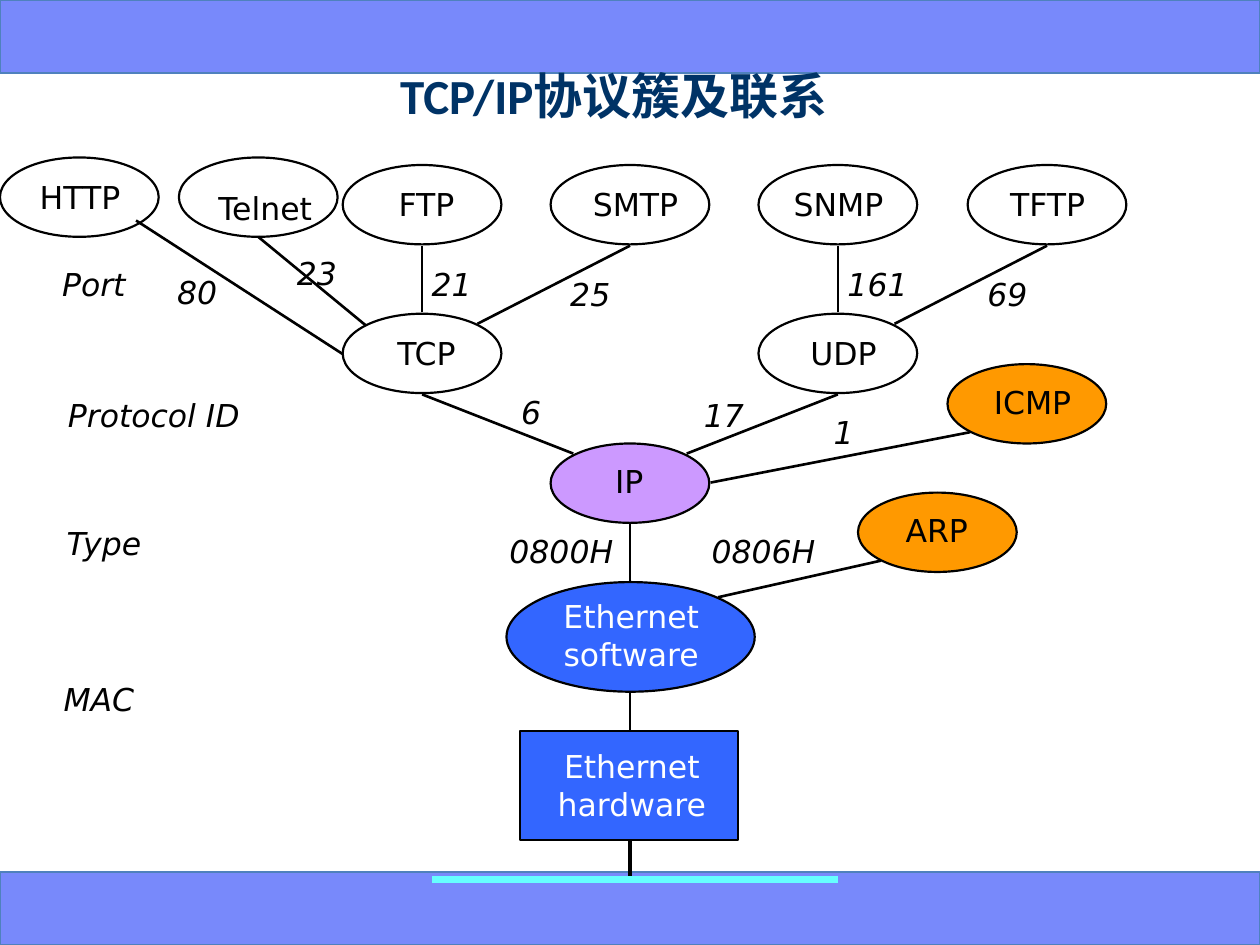
import pptx
import pptx.util
import pptx.dml.color
import pptx.enum.shapes
import pptx.enum.text
import lxml.etree
from pptx.util import Inches

COLORS = {
    "band": "7889FB", "band_edge": "4F81BD", "title": "003366",
    "black": "000000", "white": "FFFFFF", "ethernet": "3366FF",
    "helper": "FF9900", "ip": "CC99FF", "cable": "66FFFF",
}
SHAPES = pptx.enum.shapes.MSO_SHAPE


def color(name):
    return pptx.dml.color.RGBColor.from_string(COLORS[name])


def add_text(text, left, top, width, height=0.3, ink="black", italic=False):
    """Add a centred text box without margins and return it."""
    box = slide.shapes.add_textbox(*map(Inches, (left, top, width, height)))
    frame = box.text_frame
    frame.word_wrap = True
    frame.margin_left = frame.margin_right = 0
    frame.margin_top = frame.margin_bottom = 0
    paragraph = frame.paragraphs[0]
    paragraph.text = text
    paragraph.alignment = pptx.enum.text.PP_ALIGN.CENTER
    paragraph.font.name = "DejaVu Sans"
    paragraph.font.size = pptx.util.Pt(18)
    paragraph.font.italic = italic
    paragraph.font.color.rgb = color(ink)
    return box


deck = pptx.Presentation()
deck.slide_width, deck.slide_height = Inches(10), Inches(7.5)
slide = deck.slides.add_slide(deck.slide_layouts[6])

# Bands and protocol nodes: preset, left, top, width, height, fill, line, weight
OVAL_SIZE = (1.26, 0.63)
ovals = [
    (6.81, 3.91, "helper"), (4.37, 3.52, "ip"), (7.52, 2.89, "helper"),
    (6.02, 2.49, None), (2.72, 2.49, None),
    (7.68, 1.31, None), (6.02, 1.31, None), (4.37, 1.31, None),
    (2.72, 1.31, None), (1.42, 1.25, None), (0, 1.25, None),
]
outlines = [
    (SHAPES.RECTANGLE, 0, 0, 10, 0.58, "band", "band_edge", 0.75),
    (SHAPES.RECTANGLE, 0, 6.92, 10, 0.58, "band", "band_edge", 0.75),
    (SHAPES.RECTANGLE, 4.13, 5.8, 1.73, 0.87, "ethernet", "black", 1.25),
    (SHAPES.OVAL, 4.02, 4.62, 1.97, 0.87, "ethernet", "black", 1.25),
] + [(SHAPES.OVAL, left, top, *OVAL_SIZE, fill, "black", 1.25)
     for left, top, fill in ovals]
for preset, left, top, width, height, fill, edge, weight in outlines:
    node = slide.shapes.add_shape(preset, *map(Inches, (left, top, width, height)))
    node.shadow.inherit = False
    if fill:
        node.fill.solid()
        node.fill.fore_color.rgb = color(fill)
    else:
        node.fill.background()
    node.line.color.rgb = color(edge)
    node.line.width = pptx.util.Pt(weight)

title = add_text("TCP/IP协议簇及联系", 2.01, 0.36, 5.72, 0.79, "title")
title.text_frame.vertical_anchor = pptx.enum.text.MSO_ANCHOR.MIDDLE
title_font = title.text_frame.paragraphs[0].font
title_font.name, title_font.size, title_font.bold = "Calibri", pptx.util.Pt(28), True

protocol_names = [
    ("HTTP", 0.24, 1.41, 0.79), ("Telnet", 1.67, 1.5, 0.87),
    ("FTP", 3.03, 1.47, 0.71), ("SMTP", 4.61, 1.47, 0.87),
    ("SNMP", 6.26, 1.47, 0.79), ("TFTP", 7.92, 1.47, 0.79),
    ("TCP", 3.11, 2.65, 0.55), ("UDP", 6.42, 2.65, 0.55),
    ("ICMP", 7.76, 3.04, 0.87), ("IP", 4.76, 3.67, 0.47),
    ("ARP", 7.12, 4.06, 0.63),
]
for name in protocol_names:
    add_text(*name)
add_text("Ethernet software", 4.46, 4.74, 1.1, 0.6, "white")
add_text("Ethernet hardware", 4.15, 5.93, 1.73, 0.6, "white")

# Links: start x, start y, end x, end y, colour, weight
links = [
    (1.08, 1.75, 2.72, 2.81, "black", 1.5),    # HTTP - TCP
    (2.05, 1.88, 2.9, 2.58, "black", 1.5),     # Telnet - TCP
    (3.35, 2.48, 3.35, 1.95, "black", 1.5),    # TCP - FTP
    (3.79, 2.57, 5, 1.95, "black", 1.5),       # TCP - SMTP
    (6.65, 2.48, 6.65, 1.95, "black", 1.5),    # UDP - SNMP
    (7.1, 2.57, 8.31, 1.95, "black", 1.5),     # UDP - TFTP
    (4.55, 3.6, 3.35, 3.13, "black", 1.5),     # IP - TCP
    (5.64, 3.83, 7.7, 3.43, "black", 1.5),     # IP - ICMP
    (5.45, 3.6, 6.65, 3.13, "black", 1.5),     # IP - UDP
    (5, 4.61, 5, 4.15, "black", 1.5),          # Ethernet software - IP
    (5.7, 4.74, 6.99, 4.45, "black", 1.5),     # Ethernet software - ARP
    (5, 5.49, 5, 5.79, "black", 1.5),          # Ethernet software - hardware
    (5, 6.67, 5, 7, "black", 2.5),             # Ethernet hardware - cable
    (3.43, 6.98, 6.65, 6.98, "cable", 3.5),
]
for *ends, ink, weight in links:
    link = slide.shapes.add_connector(
        pptx.enum.shapes.MSO_CONNECTOR.STRAIGHT, *map(Inches, ends))
    link.line.color.rgb = color(ink)
    link.line.width = pptx.util.Pt(weight)
    lxml.etree.SubElement(link._element.spPr, pptx.oxml.ns.qn("a:effectLst"))

layer_names = [
    ("Port", 0.43, 2.1, 0.63), ("Protocol ID", 0.51, 3.14, 1.42),
    ("Type", 0.43, 4.16, 0.79), ("MAC", 0.43, 5.4, 0.71),
]
link_numbers = [
    ("80", 1.33, 2.17, 0.47), ("23", 2.32, 2.02, 0.39),
    ("21", 3.35, 2.1, 0.47), ("25", 4.45, 2.18, 0.47),
    ("161", 6.65, 2.1, 0.63), ("69", 7.76, 2.18, 0.47),
    ("6", 4.06, 3.12, 0.31), ("17", 5.55, 3.14, 0.39),
    ("1", 6.5, 3.28, 0.39),
    ("0800H", 3.98, 4.22, 0.95), ("0806H", 5.63, 4.22, 0.86),
]
for label in layer_names + link_numbers:
    add_text(*label, italic=True)

deck.save("out.pptx")
